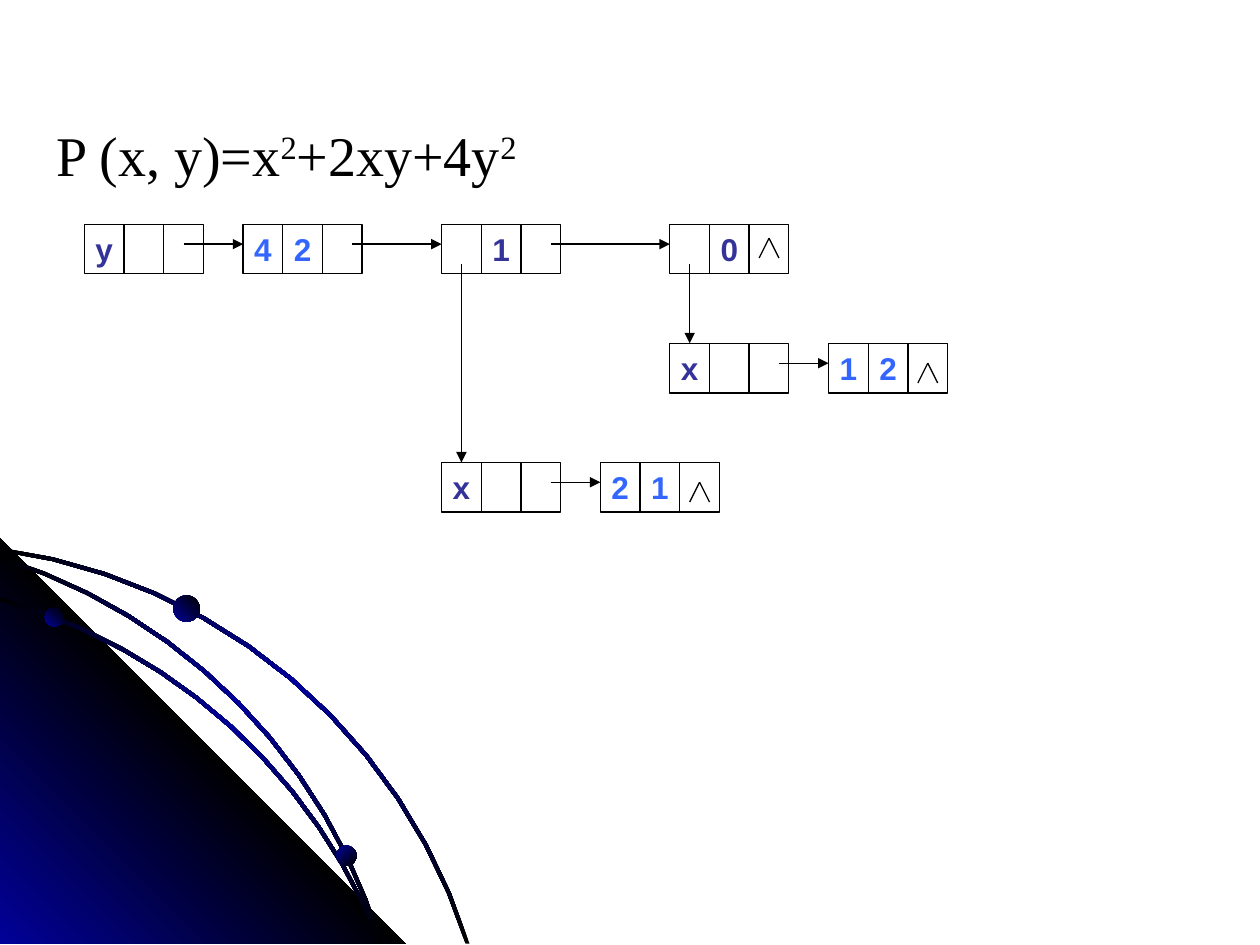
"""Build a slide showing the linked-list form of a polynomial in two variables."""
import copy
import math

import lxml.etree
import pptx
import pptx.dml.color
import pptx.enum.shapes
import pptx.enum.text
import pptx.oxml.ns
import pptx.util

Inches = pptx.util.Inches
Pt = pptx.util.Pt
RGBColor = pptx.dml.color.RGBColor
qn = pptx.oxml.ns.qn
Shape = pptx.enum.shapes.MSO_SHAPE


class Theme:
    black = RGBColor(0x00, 0x00, 0x00)
    navy = RGBColor(0x01, 0x01, 0x99)
    variable = RGBColor(0x33, 0x33, 0x99)
    term = RGBColor(0x33, 0x66, 0xFF)
    title_font = "Times New Roman"
    label_font = "Arial"
    title_size = Pt(32)
    label_size = Pt(18)
    line_width = Pt(0.75)


def paint_gradient(shape, colours, angle):
    shape.shadow.inherit = False
    shape.line.fill.background()
    shape.fill.gradient()
    shape.fill.gradient_angle = angle
    stop_list = shape._element.spPr.find(".//" + qn("a:gsLst"))
    while len(stop_list) < len(colours):
        stop_list.append(copy.deepcopy(stop_list[-1]))
    for index, (stop, colour) in enumerate(zip(shape.fill.gradient_stops, colours)):
        stop.position = index / (len(colours) - 1)
        stop.color.rgb = colour


def draw_line(page, start, end, arrow=False):
    ends = [Inches(value) for value in (*start, *end)]
    line = page.shapes.add_connector(pptx.enum.shapes.MSO_CONNECTOR.STRAIGHT, *ends)
    line.line.color.rgb = Theme.black
    line.line.width = Theme.line_width
    properties = line._element.spPr
    if arrow:
        outline = properties.find(qn("a:ln"))
        lxml.etree.SubElement(outline, qn("a:tailEnd"), type="triangle")
    lxml.etree.SubElement(properties, qn("a:effectLst"))
    return line


deck = pptx.Presentation()
deck.slide_width, deck.slide_height = Inches(10), Inches(7.5)
page = deck.slides.add_slide(deck.slide_layouts[6])

floor = 7.49
band_width = 0.03
arc_steps = 12
circles = {
    "outer": (-0.61, 8.85, 4.53),
    "inner": (-1.22, 9.14, 4.55),
    "middle": (-1.36, 8.79, 4.57),
}
outlines = {"outer": [], "corner": [(0, 4.27), (3.22, floor), (0, floor)]}
for name, (centre_x, centre_y, radius) in circles.items():
    edges = []
    for edge_radius in (radius + band_width / 2, radius - band_width / 2):
        first = math.acos(-centre_x / edge_radius)
        last = math.asin((centre_y - floor) / edge_radius)
        angles = [first + (last - first) * step / arc_steps for step in range(arc_steps + 1)]
        edges.append([
            (centre_x + edge_radius * math.cos(angle), centre_y - edge_radius * math.sin(angle))
            for angle in angles
        ])
    far_edge, near_edge = edges
    outlines[name] = far_edge + near_edge[::-1]

for name, outline in outlines.items():
    points = [(Inches(x), Inches(y)) for x, y in outline]
    builder = page.shapes.build_freeform(*points[0])
    builder.add_line_segments(points[1:], close=True)
    shape = builder.convert_to_shape()
    if name == "corner":
        paint_gradient(shape, (Theme.navy, Theme.black, Theme.navy), 45)
    else:
        paint_gradient(shape, (Theme.black, Theme.navy, Theme.black), 315)

for name, dot_x, size, angle in (
    ("inner", 0.43, 0.15, 45), ("middle", 2.75, 0.16, 315), ("outer", 1.48, 0.21, 45),
):
    centre_x, centre_y, radius = circles[name]
    dot_y = centre_y - math.sqrt(radius ** 2 - (dot_x - centre_x) ** 2)
    dot = page.shapes.add_shape(
        Shape.OVAL, Inches(dot_x - size / 2), Inches(dot_y - size / 2),
        Inches(size), Inches(size))
    paint_gradient(dot, (Theme.navy, Theme.black), angle)

title = page.shapes.add_textbox(Inches(0.35), Inches(0.91), Inches(9), Inches(4.4))
title.text_frame.word_wrap = True
para = title.text_frame.paragraphs[0]
for text, raised in (("P (x, y)=x", False), ("2", True), ("+2xy+4y", False), ("2", True)):
    span = para.add_run()
    span.text = text
    span.font.name = Theme.title_font
    span.font.size = Theme.title_size
    span.font.color.rgb = Theme.black
    if raised:
        span.font._element.set("baseline", "30000")

cell = 0.63 / 2
cell_height = 1.25 * cell
list_left, list_top = 0.67, 1.78
top_row, middle_row, bottom_row = (list_top + 3 * cell * level for level in range(3))
head_x, y2_x, y1_x, y0_x = (list_left + cell * steps for steps in (0, 4, 9, 14.75))
nodes = {
    "y head": (head_x, top_row, ("y", "", ""), Theme.variable),
    "4y²": (y2_x, top_row, ("4", "2", ""), Theme.term),
    "y¹": (y1_x, top_row, ("", "1", ""), Theme.variable),
    "y⁰": (y0_x, top_row, ("", "0", ""), Theme.variable),
    "x head of y⁰": (y0_x, middle_row, ("x", "", ""), Theme.variable),
    "1x²": (y0_x + 4 * cell, middle_row, ("1", "2", ""), Theme.term),
    "x head of y¹": (y1_x, bottom_row, ("x", "", ""), Theme.variable),
    "2x¹": (y1_x + 4 * cell, bottom_row, ("2", "1", ""), Theme.term),
}
first_cells = {}
for name, (left, top, labels, colour) in nodes.items():
    for index, label in enumerate(labels):
        box = page.shapes.add_shape(
            Shape.RECTANGLE, Inches(left + index * cell), Inches(top),
            Inches(cell), Inches(cell_height))
        box.shadow.inherit = False
        box.fill.background()
        box.line.color.rgb = Theme.black
        box.line.width = Theme.line_width
        if index == 0:
            first_cells[name] = box
        if label:
            frame = box.text_frame
            frame.word_wrap = False
            frame.vertical_anchor = pptx.enum.text.MSO_ANCHOR.MIDDLE
            para = frame.paragraphs[0]
            para.alignment = pptx.enum.text.PP_ALIGN.CENTER
            span = para.add_run()
            span.text = label
            span.font.name = Theme.label_font
            span.font.size = Theme.label_size
            span.font.bold = True
            span.font.color.rgb = colour

for source, target, cells_in in (
    ("y head", "4y²", 2.5),
    ("4y²", "y¹", 2.75),
    ("y¹", "y⁰", 2.75),
    ("x head of y⁰", "1x²", 2.75),
    ("x head of y¹", "2x¹", 2.75),
):
    source_left, top = nodes[source][:2]
    target_left = nodes[target][0]
    link_y = top + cell / 2
    draw_line(page, (source_left + cells_in * cell, link_y), (target_left, link_y), arrow=True)

for parent, child in (("y¹", "x head of y¹"), ("y⁰", "x head of y⁰")):
    left, parent_top = nodes[parent][:2]
    child_top = nodes[child][1]
    branch_x = left + cell / 2
    branch = draw_line(page, (branch_x, parent_top + cell), (branch_x, child_top), arrow=True)
    branch.end_connect(first_cells[child], 0)

for name, drop in (("y⁰", 0.35), ("1x²", 0.5), ("2x¹", 0.5)):
    left, top = nodes[name][:2]
    peak = (left + 2.5 * cell, top + drop * cell)
    for side in (-1, 1):
        foot = (peak[0] + side * cell / 4, peak[1] + cell / 2)
        draw_line(page, foot, peak)

deck.save("out.pptx")
